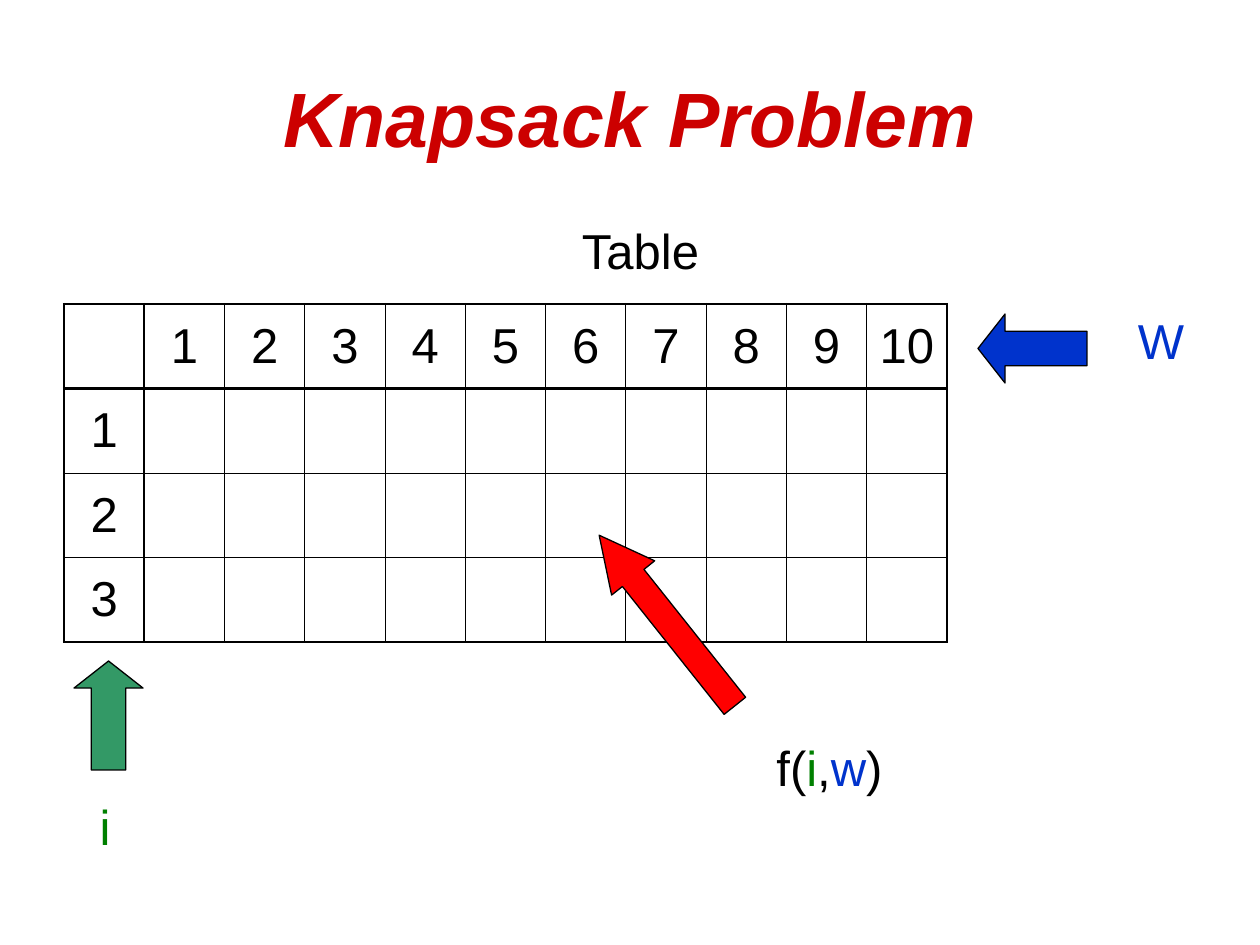
import pptx
import pptx.util
import pptx.dml.color
import pptx.enum.shapes
import pptx.enum.text
import pptx.oxml
import pptx.oxml.ns

COLORS = {
    "title": "CC0000",
    "text": "000000",
    "weight": "0033CC",
    "item": "008000",
    "item_arrow": "339966",
    "cell_arrow": "FF0000",
}
PIXELS_PER_INCH = 126
THICK, THIN = 1.47, 0.45
WEIGHTS, ITEMS = 10, 3


def px(*lengths):
    return [round(length * 914400 / PIXELS_PER_INCH) for length in lengths]


def color(name):
    return pptx.dml.color.RGBColor.from_string(COLORS[name])


def place(shape, box):
    shape.left, shape.top, shape.width, shape.height = px(*box)


def format_font(font, size, color_name):
    font.name = "Arial"
    font.size = pptx.util.Pt(size)
    font.color.rgb = color(color_name)


def fill_title(slide, text, box):
    title = slide.shapes.title
    place(title, box)
    title.text_frame.text = text
    title.text_frame.vertical_anchor = pptx.enum.text.MSO_ANCHOR.MIDDLE
    paragraph = title.text_frame.paragraphs[0]
    paragraph.alignment = pptx.enum.text.PP_ALIGN.CENTER
    font = paragraph.runs[0].font
    format_font(font, 44, "title")
    font.bold = font.italic = True


def fill_label(shape, pieces):
    text_frame = shape.text_frame
    text_frame.word_wrap = True
    text_frame.auto_size = pptx.enum.text.MSO_AUTO_SIZE.NONE
    text_frame.vertical_anchor = pptx.enum.text.MSO_ANCHOR.TOP
    paragraph = text_frame.paragraphs[0]
    paragraph.alignment = pptx.enum.text.PP_ALIGN.CENTER
    paragraph.space_before = pptx.util.Pt(7)
    for text, color_name in pieces:
        run = paragraph.add_run()
        run.text = text
        format_font(run.font, 28, color_name)
    properties = paragraph._p.get_or_add_pPr()
    properties.set("marL", "342900")
    properties.set("indent", "-342900")
    properties.append(
        pptx.oxml.parse_xml(f"<a:buNone {pptx.oxml.ns.nsdecls('a')}/>")
    )


def add_label(slide, box, pieces):
    fill_label(slide.shapes.add_textbox(*px(*box)), pieces)


def add_arrow(slide, box, color_name, head, rotation=0):
    arrow = slide.shapes.add_shape(
        pptx.enum.shapes.MSO_SHAPE.LEFT_ARROW, *px(*box)
    )
    arrow.adjustments[0] = 0.5
    arrow.adjustments[1] = head
    arrow.rotation = rotation
    arrow.shadow.inherit = False
    arrow.fill.solid()
    arrow.fill.fore_color.rgb = color(color_name)
    arrow.line.color.rgb = color("text")
    arrow.line.width = pptx.util.Pt(0.75)


def set_borders(cell, widths):
    properties = cell._tc.get_or_add_tcPr()
    for side, width in zip("LRTB", widths):
        properties.append(pptx.oxml.parse_xml(
            f'<a:ln{side} {pptx.oxml.ns.nsdecls("a")} w="{pptx.util.Pt(width)}">'
            f'<a:solidFill><a:srgbClr val="{COLORS["text"]}"/></a:solidFill>'
            f"</a:ln{side}>"
        ))


def border_width(edge, last):
    return THICK if edge in (0, 1, last) else THIN


def add_table(slide, box):
    rows, columns = ITEMS + 1, WEIGHTS + 1
    table = slide.shapes.add_table(rows, columns, *px(*box)).table
    table.first_row = table.horz_banding = False
    for row in range(rows):
        for column in range(columns):
            cell = table.cell(row, column)
            set_borders(cell, (
                border_width(column, columns),
                border_width(column + 1, columns),
                border_width(row, rows),
                border_width(row + 1, rows),
            ))
            cell.fill.background()
            if (row == 0) != (column == 0):
                fill_header(cell, str(row + column))


def fill_header(cell, text):
    cell.vertical_anchor = pptx.enum.text.MSO_ANCHOR.MIDDLE
    cell.text_frame.text = text
    paragraph = cell.text_frame.paragraphs[0]
    paragraph.alignment = pptx.enum.text.PP_ALIGN.CENTER
    paragraph.space_before = pptx.util.Pt(7)
    format_font(paragraph.runs[0].font, 28, "text")


def main():
    presentation = pptx.Presentation()
    presentation.slide_width, presentation.slide_height = px(1260, 945)
    slide = presentation.slides.add_slide(presentation.slide_layouts[1])

    fill_title(slide, "Knapsack Problem", (63, 38, 1134, 158))
    caption = slide.placeholders[1]
    place(caption, (362, 214, 557, 83))
    fill_label(caption, [("Table", "text")])

    add_table(slide, (64, 304, 883, 338))
    add_arrow(slide, (978, 314, 109, 69), "weight", 0.392)
    add_label(slide, (1106, 304, 110, 83), [("W", "weight")])
    add_label(slide, (50, 790, 110, 83), [("i", "item")])
    add_arrow(slide, (54, 681, 109, 69), "item_arrow", 0.392, 90)
    add_arrow(slide, (558, 593, 218, 55), "cell_arrow", 0.993, 51.5)
    add_label(slide, (740, 731, 179, 83), [
        ("f(", "text"),
        ("i", "item"),
        (",", "text"),
        ("w", "weight"),
        (")", "text"),
    ])
    presentation.save("out.pptx")


if __name__ == "__main__":
    main()
